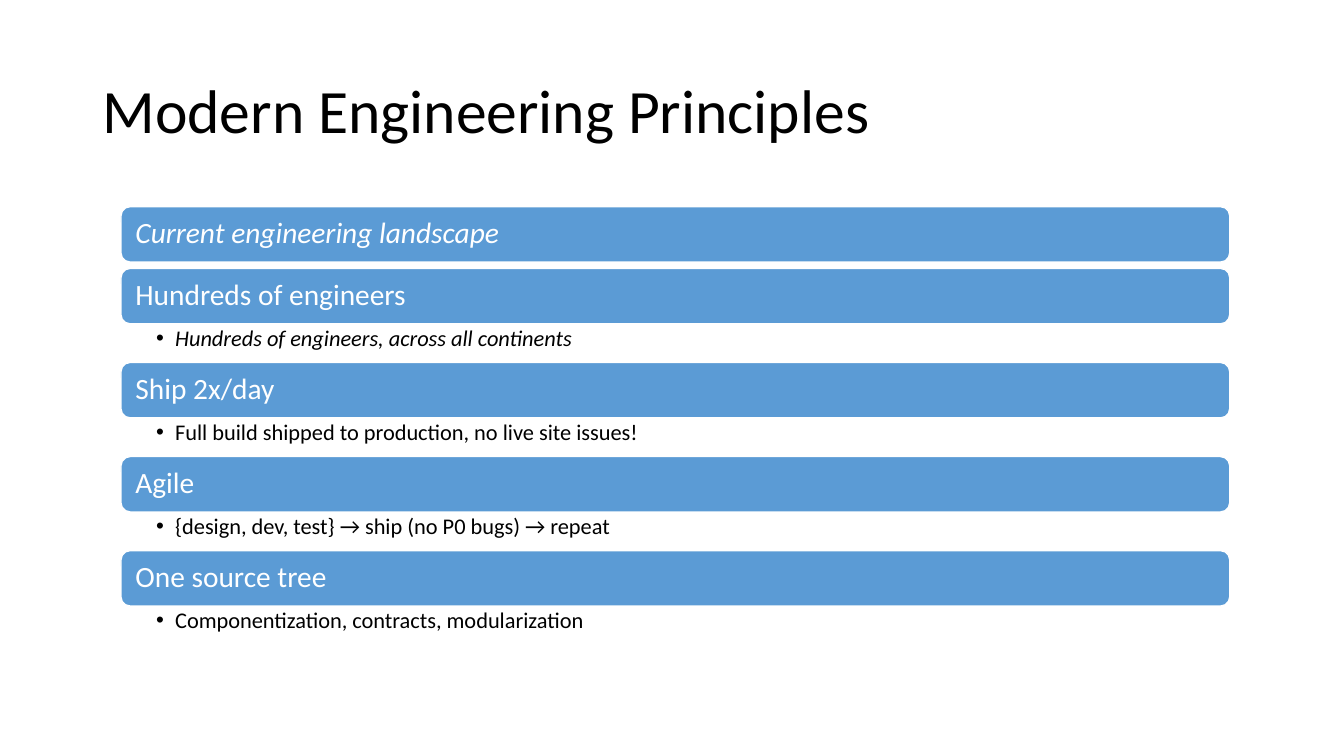
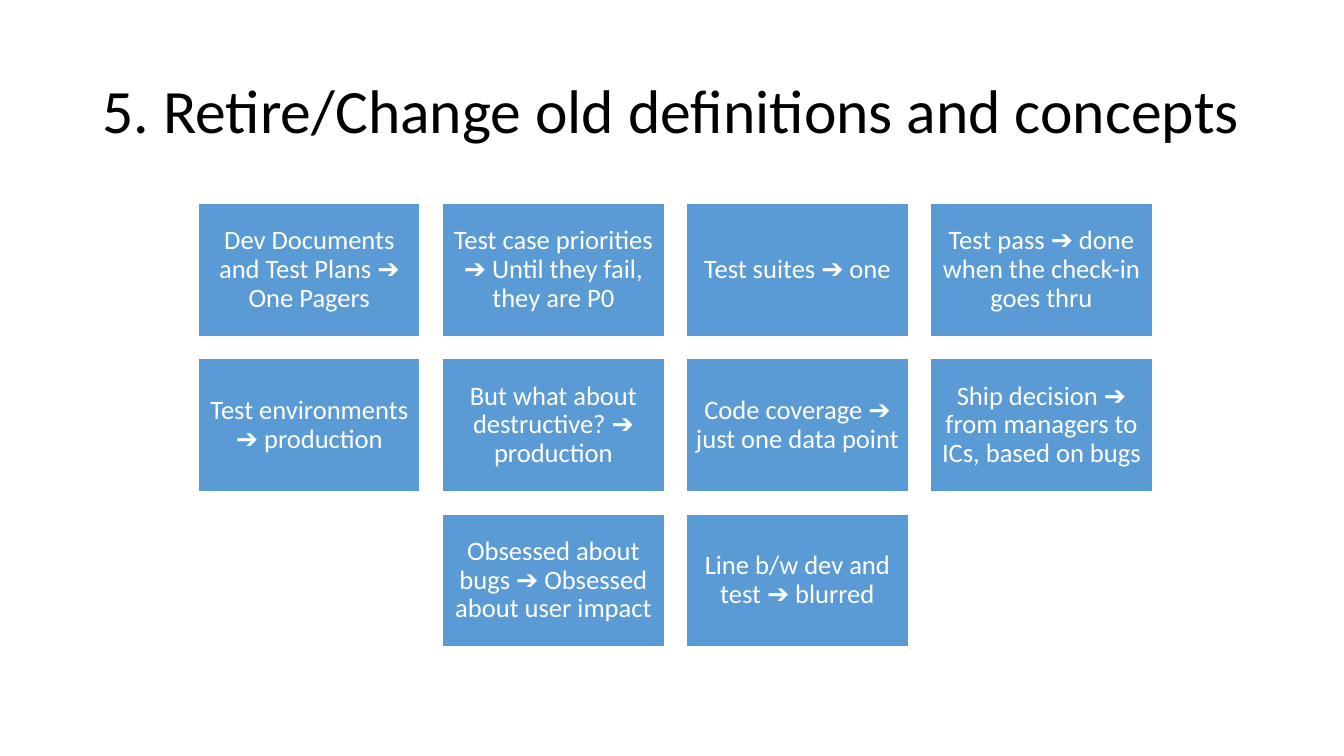
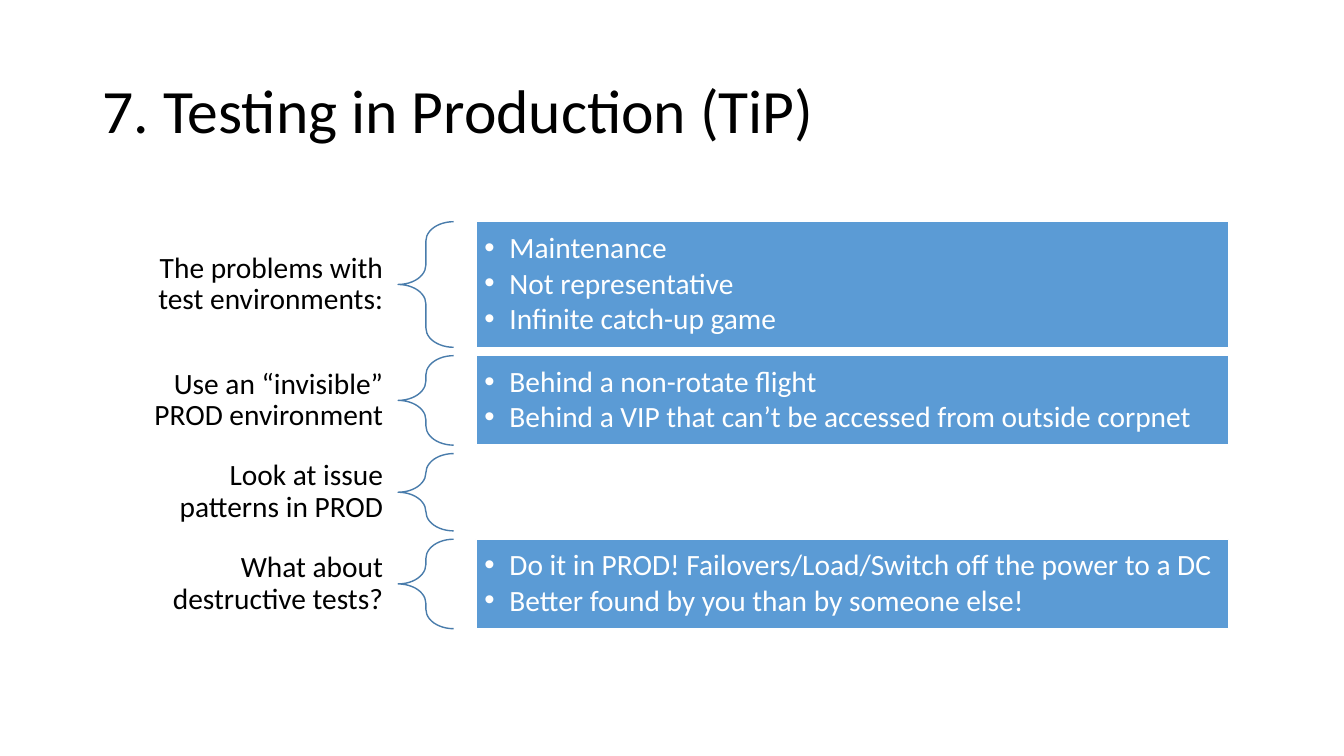
from lxml import etree
from pptx import Presentation
from pptx import util as u
from pptx.dml.color import RGBColor
from pptx.enum import shapes, text
from pptx.oxml.ns import qn

COLORS = {"fill": "5B9BD5", "brace": "497CAB", "light": "FFFFFF", "dark": "000000"}
FONT = "Calibri"
WIDTH, HEIGHT = u.Inches(13.33), u.Inches(7.5)
COLS, ROWS = 160, 90
CENTER = 80.4
ALIGN = {"left": text.PP_ALIGN.LEFT, "center": text.PP_ALIGN.CENTER,
         "right": text.PP_ALIGN.RIGHT}

PRINCIPLES = [
    ("Current engineering landscape", None),
    ("Hundreds of engineers", "Hundreds of engineers, across all continents"),
    ("Ship 2x/day", "Full build shipped to production, no live site issues!"),
    ("Agile", "{design, dev, test} → ship (no P0 bugs) → repeat"),
    ("One source tree", "Componentization, contracts, modularization"),
]
ITALIC = {PRINCIPLES[0][0], PRINCIPLES[1][1]}

CONCEPTS = [
    ["Dev Documents and Test Plans ➔ One Pagers",
     "Test case priorities ➔ Until they fail, they are P0",
     "Test suites ➔ one",
     "Test pass ➔ done when the check-in goes thru"],
    ["Test environments ➔ production",
     "But what about destructive? ➔ production",
     "Code coverage ➔ just one data point",
     "Ship decision ➔ from managers to ICs, based on bugs"],
    ["Obsessed about bugs ➔ Obsessed about user impact",
     "Line b/w dev and test ➔ blurred"],
]

TOPICS = [
    ("The problems with test environments:", 14.95,
     ["Maintenance", "Not representative", "Infinite catch-up game"]),
    ("Use an “invisible” PROD environment", 10.65,
     ["Behind a non-rotate flight",
      "Behind a VIP that can’t be accessed from outside corpnet"]),
    ("Look at issue patterns in PROD", 9.2, []),
    ("What about destructive tests?", 10.65,
     ["Do it in PROD! Failovers/Load/Switch off the power to a DC",
      "Better found by you than by someone else!"]),
]


class Deck:
    """Holds the shared style and the current slide."""

    def __init__(self):
        self.prs = Presentation()
        self.prs.slide_width, self.prs.slide_height = WIDTH, HEIGHT
        self.slide = None

    def x(self, cols):
        return u.Emu(round(WIDTH * cols / COLS))

    def y(self, rows):
        return u.Emu(round(HEIGHT * rows / ROWS))

    def box(self, left, top, width, height):
        return self.x(left), self.y(top), self.x(width), self.y(height)

    def new_slide(self, title):
        self.slide = self.prs.slides.add_slide(self.prs.slide_layouts[6])
        self.label(title, (11, 4.8, 138, 17.4), 44, inset=(1.2, 0.6, 1.2, 0.6))

    def label(self, words, at, size, **style):
        sp = self.slide.shapes.add_textbox(*self.box(*at))
        self.set_text(sp, [words], size, "dark", **style)

    def panel(self, lines, at, size, kind=shapes.MSO_SHAPE.RECTANGLE, **style):
        sp = self.shape(kind, at, "light")
        sp.fill.solid()
        sp.fill.fore_color.rgb = RGBColor.from_string(COLORS["fill"])
        self.set_text(sp, lines, size, "light", **style)

    def brace(self, at):
        sp = self.shape(shapes.MSO_SHAPE.LEFT_BRACE, at, "brace")
        sp.fill.background()
        sp.adjustments[0] = 0.35

    def shape(self, kind, at, line):
        sp = self.slide.shapes.add_shape(kind, *self.box(*at))
        sp.shadow.inherit = False
        sp.line.color.rgb = RGBColor.from_string(COLORS[line])
        sp.line.width = u.Pt(1)
        return sp

    def set_text(self, sp, lines, size, color, inset=(1, 1, 1, 1), align="left",
                 anchor=text.MSO_ANCHOR.MIDDLE, bullet=None):
        tf = sp.text_frame
        tf.text = "\n".join(lines)
        tf.word_wrap = True
        tf.vertical_anchor = anchor
        tf.margin_left, tf.margin_right = self.x(inset[0]), self.x(inset[2])
        tf.margin_top, tf.margin_bottom = self.y(inset[1]), self.y(inset[3])
        for p in tf.paragraphs:
            p.alignment = ALIGN[align]
            p.line_spacing = 0.9
            if bullet:
                p.space_after = u.Pt(2.6)
                self.bullet(p, bullet)
            for r in p.runs:
                r.font.name, r.font.size = FONT, u.Pt(size)
                r.font.italic = r.text in ITALIC
                r.font.color.rgb = RGBColor.from_string(COLORS[color])

    def bullet(self, p, indent):
        pPr = p._p.get_or_add_pPr()
        pPr.set("marL", str(self.x(indent)))
        pPr.set("indent", str(-self.x(indent)))
        etree.SubElement(pPr, qn("a:buFont"), typeface="Arial")
        etree.SubElement(pPr, qn("a:buChar"), char="•")


def principles(deck):
    deck.new_slide("Modern Engineering Principles")
    left, top, width, bar, detail, gap = 14.4, 24.6, 132, 6.6, 4.6, 0.75
    for heading, note in PRINCIPLES:
        deck.panel([heading], (left, top, width, bar), 21,
                   shapes.MSO_SHAPE.ROUNDED_RECTANGLE, inset=(1.4, 1, 1.4, 1))
        top += bar
        if note:
            deck.label(note, (left, top, width, detail), 16,
                       anchor=text.MSO_ANCHOR.TOP,
                       inset=(4.2, 0.36, 1.9, 0.36), bullet=2.25)
        top += detail if note else gap


def concepts(deck):
    deck.new_slide("5. Retire/Change old definitions and concepts")
    width, height, gap = 26.4, 15.84, 2.65
    for i, row in enumerate(CONCEPTS):
        left = CENTER - (len(row) * (width + gap) - gap) / 2
        for j, words in enumerate(row):
            at = (left + j * (width + gap), 24.2 + i * (height + gap), width, height)
            deck.panel([words], at, 19, align="center")


def testing(deck):
    deck.new_slide("7. Testing in Production (TiP)")
    top, gap, label = 26.4, 1, 9.2
    for heading, height, points in TOPICS:
        deck.label(heading, (14.5, top + (height - label) / 2, 33, label), 21,
                   align="right", inset=(1.9, 0.7, 1.9, 0.7))
        deck.brace((47.4, top, 6.6, height))
        if points:
            deck.panel(points, (56.65, top, 89.6, height), 21, bullet=3)
        top += height + gap


def main():
    deck = Deck()
    for build in (principles, concepts, testing):
        build(deck)
    deck.prs.save("out.pptx")


if __name__ == "__main__":
    main()
